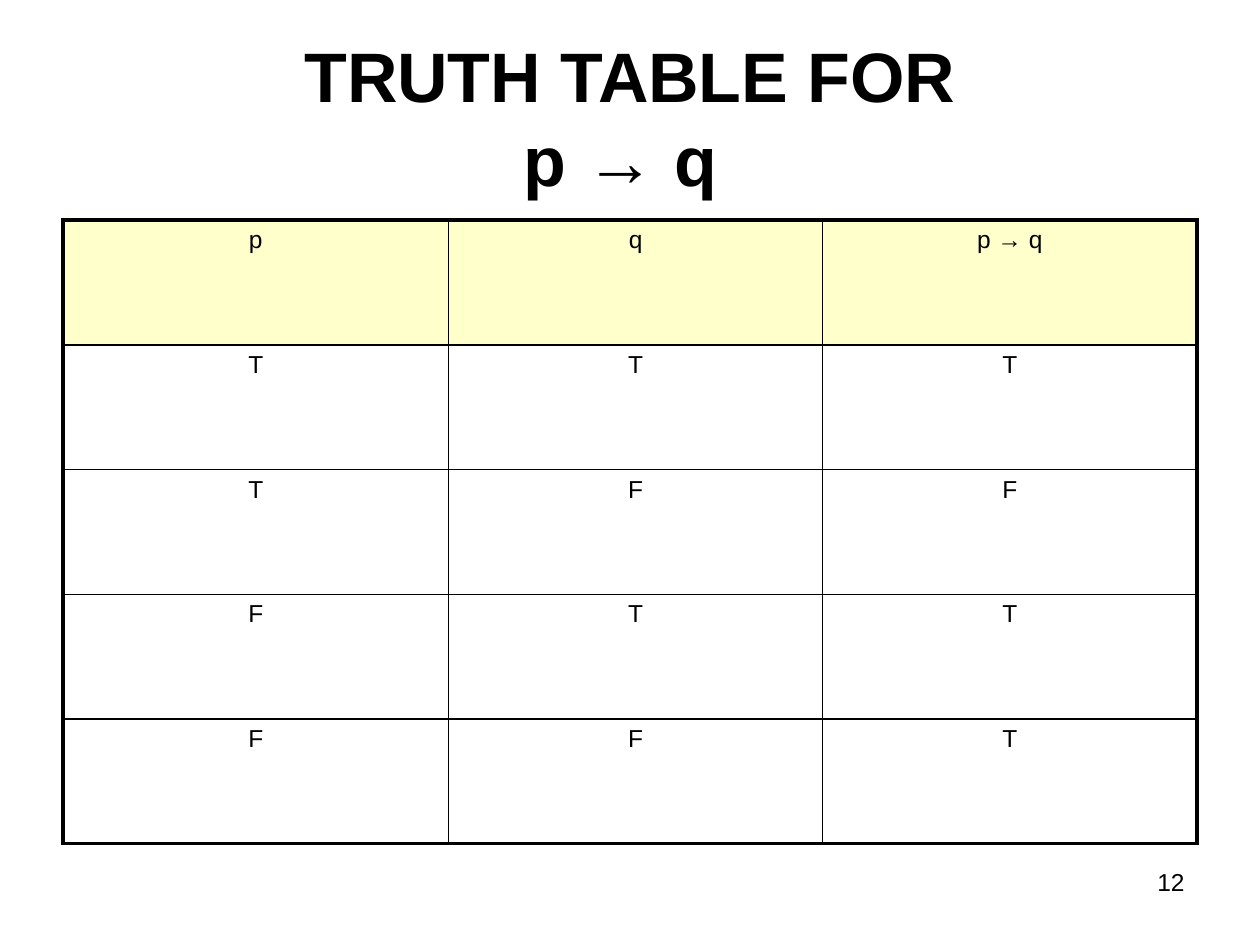
from lxml import etree
from pptx import Presentation
from pptx.dml.color import RGBColor
from pptx.enum.text import MSO_ANCHOR, PP_ALIGN
from pptx.oxml.ns import qn
from pptx.util import Inches, Pt

MID, TOP = MSO_ANCHOR.MIDDLE, MSO_ANCHOR.TOP
CENTER, RIGHT = PP_ALIGN.CENTER, PP_ALIGN.RIGHT
WIDE, HIGH = Inches(10), Inches(7.5)
FONT, INK, CREAM = "Arial", "000000", "FFFFCC"
THIN, THICK = 1, 2.25

HEAD = ["p", "q", "p → q"]
ROWS = [HEAD, *map(list, ["TTT", "TFF", "FTT", "FFT"])]
COLS = [0.34, 0.33, 0.33]


def color(code):
    return RGBColor.from_string(code)


def area(left, top, width, height):
    """Box from shares of the slide's size."""
    return [int(left * WIDE), int(top * HIGH), int(width * WIDE), int(height * HIGH)]


def write(frame, lines, size, align, bold=False):
    para = frame.paragraphs[0]
    para.alignment = align
    for i, line in enumerate(lines):
        if i:
            para.add_line_break()
        run = para.add_run()
        run.text = line
        run.font.name, run.font.size, run.font.bold = FONT, Pt(size), bold
        run.font.color.rgb = color(INK)


def add_text(slide, box, lines, size, align, anchor=TOP, bold=False):
    frame = slide.shapes.add_textbox(*box).text_frame
    frame.word_wrap = True
    frame.vertical_anchor = anchor
    write(frame, lines, size, align, bold)


def add_edges(cell, widths):
    """Border lines come before the fill in the cell's properties."""
    props = cell._tc.get_or_add_tcPr()
    for i, (side, width) in enumerate(widths.items()):
        line = etree.Element(qn("a:ln" + side), w=str(Pt(width)))
        fill = etree.SubElement(line, qn("a:solidFill"))
        etree.SubElement(fill, qn("a:srgbClr"), val=INK)
        props.insert(i, line)


def add_grid(slide, box, rows, cols):
    table = slide.shapes.add_table(len(rows), len(cols), *box).table
    table.first_row = table.horz_banding = False
    for col, share in zip(table.columns, cols):
        col.width = int(share * box[2])
    for r, row in enumerate(rows):
        for c, word in enumerate(row):
            cell = table.cell(r, c)
            write(cell.text_frame, [word], 14, CENTER)
            # Cream header, clear body
            if r == 0:
                cell.fill.solid()
                cell.fill.fore_color.rgb = color(CREAM)
            else:
                cell.fill.background()
            # Thick frame, thin inner lines
            outer = {"L": c == 0, "R": c == len(cols) - 1,
                     "T": r == 0, "B": r == len(rows) - 1}
            add_edges(cell, {s: THICK if out else THIN for s, out in outer.items()})


def main():
    deck = Presentation()
    deck.slide_width, deck.slide_height = WIDE, HIGH
    slide = deck.slides.add_slide(deck.slide_layouts[6])
    # Title
    add_text(slide, area(0.05, 0.04, 0.9, 0.167), ["TRUTH TABLE FOR", "p → q "],
             40, CENTER, MID, True)
    # Truth table
    add_grid(slide, area(0.05, 0.233, 0.9, 0.66), ROWS, COLS)
    # Page number
    add_text(slide, area(0.717, 0.911, 0.233, 0.07), ["12"], 14, RIGHT)
    deck.save("out.pptx")


if __name__ == "__main__":
    main()
